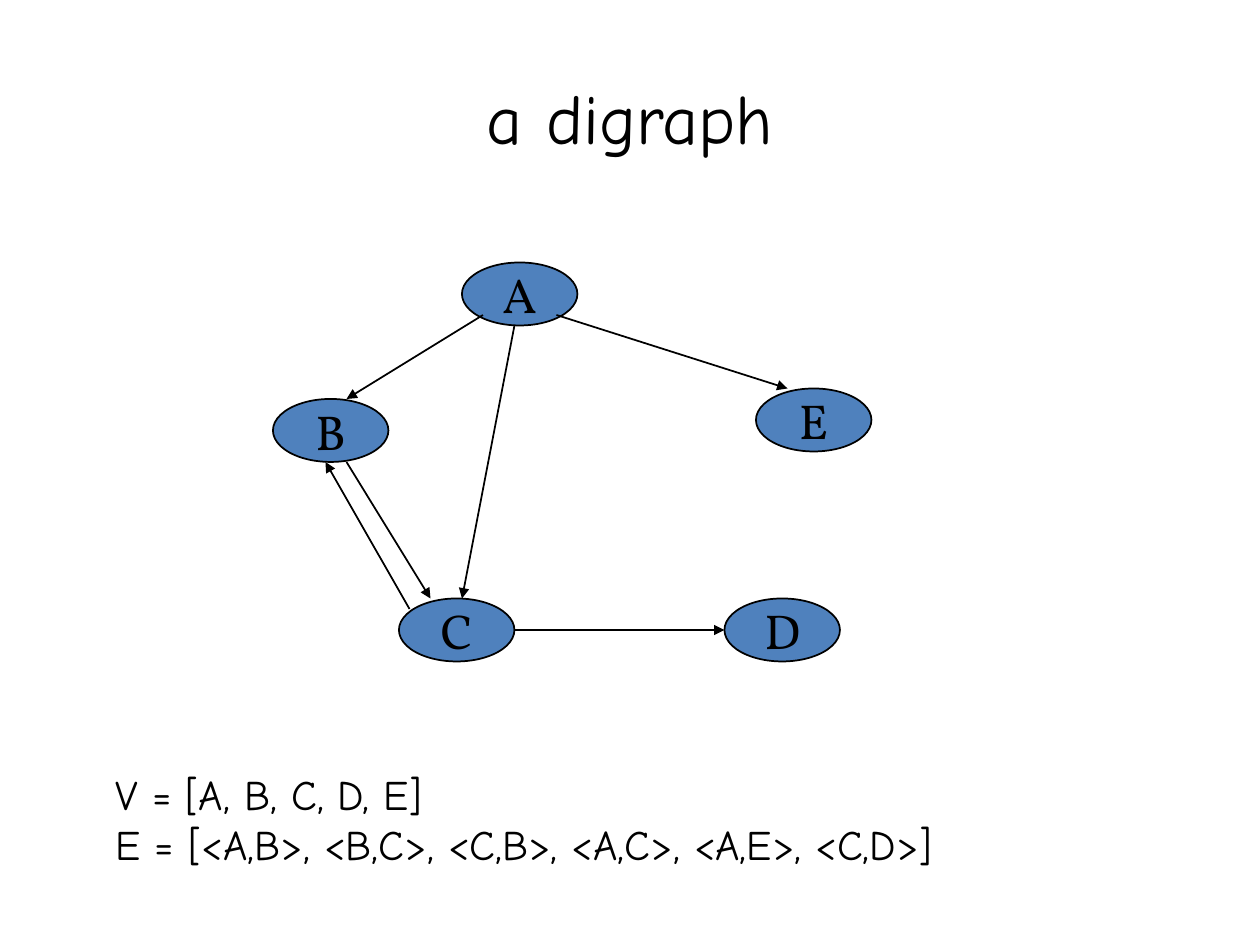
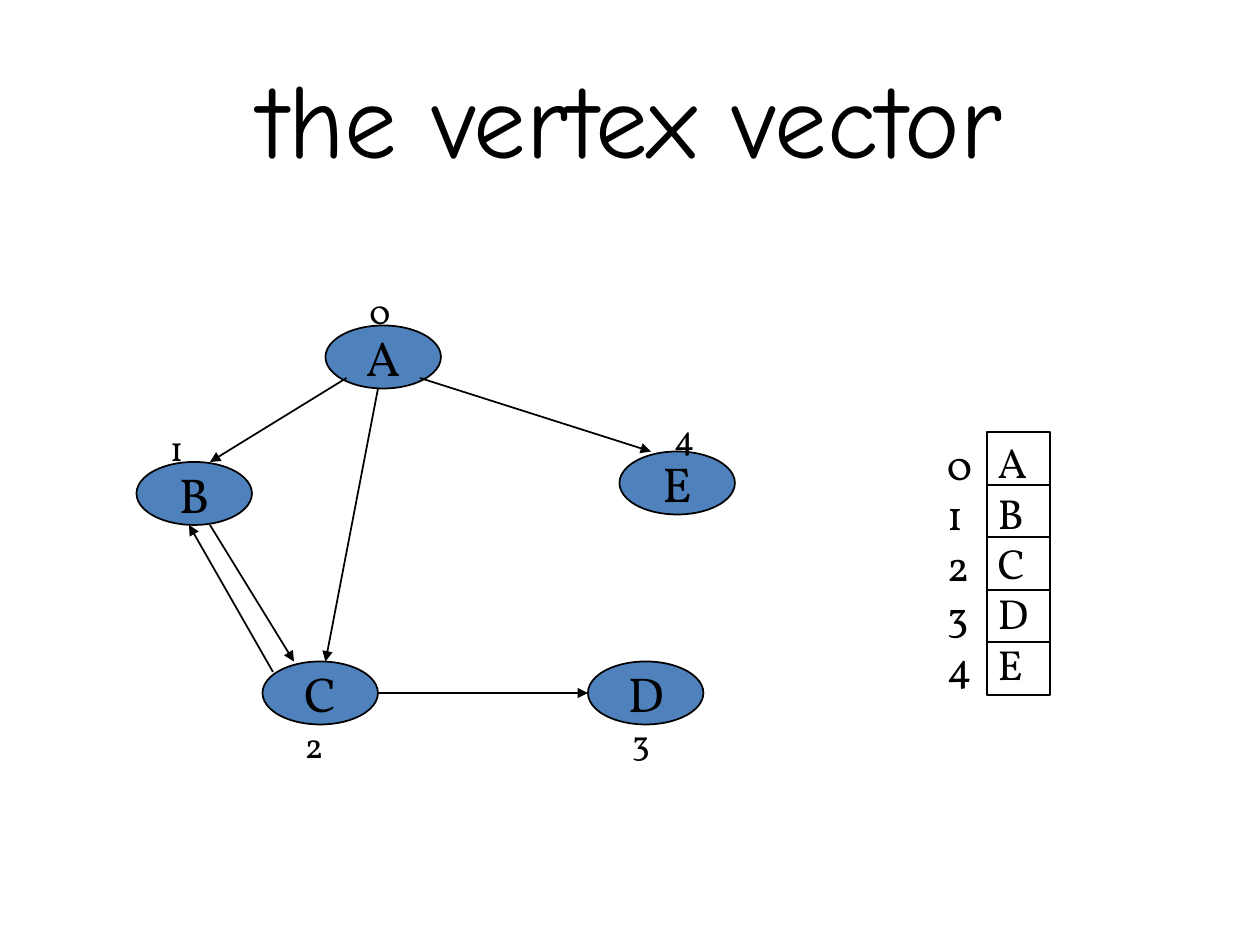
from lxml.etree import SubElement
from pptx import Presentation
from pptx.dml.color import RGBColor
from pptx.enum.shapes import MSO_CONNECTOR, MSO_SHAPE
from pptx.enum.text import MSO_ANCHOR, MSO_AUTO_SIZE, PP_ALIGN
from pptx.oxml.ns import qn
from pptx.util import Pt

BLACK = RGBColor(0x00, 0x00, 0x00)
BLUE = RGBColor(0x4F, 0x81, 0xBD)
WHITE = RGBColor(0xFF, 0xFF, 0xFF)
HAND_FONT = "Comic Neue"
SERIF_FONT = "Vollkorn"

NODE_W, NODE_H = 66, 36
# Vertices and edge ends are offsets from the top left corner of the graph.
VERTICES = {"A": (108, 0), "B": (0, 78), "C": (72, 192), "D": (258, 192), "E": (276, 72)}
EDGES = {
    ("A", "B"): ((120, 30), (42, 78)),
    ("A", "E"): ((162, 30), (294, 72)),
    ("A", "C"): ((138, 36), (108, 192)),
    ("C", "D"): ((138, 210), (258, 210)),
    ("B", "C"): ((42, 114), (90, 192)),
    ("C", "B"): ((78, 198), (30, 114)),
}
INDEX_LABELS = [(204, 162), (90, 240), (167, 409.7), (354, 408), (378, 234)]

VECTOR_X, VECTOR_Y = 564, 247
CELL_W, CELL_H = 36, 30


def style_paragraphs(tf, size, font, align=PP_ALIGN.LEFT):
    for p in tf.paragraphs:
        p.alignment = align
        p.font.size = Pt(size)
        p.font.name = font
        p.font.color.rgb = BLACK


def add_title(slide, text, size):
    sp = slide.shapes.add_textbox(Pt(36), Pt(21.6), Pt(648), Pt(90))
    tf = sp.text_frame
    tf.word_wrap = True
    tf.vertical_anchor = MSO_ANCHOR.MIDDLE
    tf.text = text
    style_paragraphs(tf, size, HAND_FONT, PP_ALIGN.CENTER)


def add_text(slide, text, x, y, w, h, size, font):
    """Add unwrapped text; a newline starts a paragraph, a vertical tab a line."""
    sp = slide.shapes.add_textbox(Pt(x), Pt(y), Pt(w), Pt(h))
    tf = sp.text_frame
    tf.word_wrap = False
    tf.auto_size = MSO_AUTO_SIZE.SHAPE_TO_FIT_TEXT
    tf.text = text
    style_paragraphs(tf, size, font)


def add_outlined_shape(slide, kind, x, y, w, h):
    sp = slide.shapes.add_shape(kind, Pt(x), Pt(y), Pt(w), Pt(h))
    sp.shadow.inherit = False
    sp.fill.background()
    sp.line.color.rgb = BLACK
    sp.line.width = Pt(1)
    return sp


def add_vertex(slide, name, x, y):
    sp = add_outlined_shape(slide, MSO_SHAPE.OVAL, x, y, NODE_W, NODE_H)
    sp.fill.solid()
    sp.fill.fore_color.rgb = BLUE
    tf = sp.text_frame
    tf.word_wrap = False
    tf.vertical_anchor = MSO_ANCHOR.MIDDLE
    tf.text = name
    style_paragraphs(tf, 28, SERIF_FONT, PP_ALIGN.CENTER)


def add_line(slide, x1, y1, x2, y2, arrow=False):
    line = slide.shapes.add_connector(
        MSO_CONNECTOR.STRAIGHT, Pt(x1), Pt(y1), Pt(x2), Pt(y2))
    line.line.color.rgb = BLACK
    line.line.width = Pt(1)
    if arrow:
        SubElement(line.line._get_or_add_ln(), qn("a:tailEnd"), type="triangle")
    SubElement(line._element.spPr, qn("a:effectLst"))


def add_graph(slide, left, top):
    for name, (x, y) in VERTICES.items():
        add_vertex(slide, name, left + x, top + y)
    for (x1, y1), (x2, y2) in EDGES.values():
        add_line(slide, left + x1, top + y1, left + x2, top + y2, arrow=True)


def add_vertex_vector(slide):
    count = len(VERTICES)
    indices = "\n".join(str(i) for i in range(count))
    add_text(slide, indices, 534, VECTOR_Y, 26.8, 151.2, 24, SERIF_FONT)
    add_text(slide, "\v".join(VERTICES), 563, 246, 33.4, 151.2, 24, SERIF_FONT)
    add_outlined_shape(slide, MSO_SHAPE.RECTANGLE,
                       VECTOR_X, VECTOR_Y, CELL_W, count * CELL_H)
    for row in range(1, count + 1):
        y = VECTOR_Y + row * CELL_H
        add_line(slide, VECTOR_X, y, VECTOR_X + CELL_W, y)


def add_slide(prs, title, title_size):
    slide = prs.slides.add_slide(prs.slide_layouts[6])
    slide.background.fill.solid()
    slide.background.fill.fore_color.rgb = WHITE
    add_title(slide, title, title_size)
    return slide


def add_digraph_slide(prs):
    slide = add_slide(prs, "a digraph", 40)
    add_graph(slide, 156, 150)
    sets = "V = [A, B, C, D, E]\nE = [<A,B>, <B,C>, <C,B>, <A,C>, <A,E>, <C,D>]"
    add_text(slide, sets, 59, 435.6, 525, 65, 24, HAND_FONT)


def add_vector_slide(prs):
    slide = add_slide(prs, "the vertex vector", 60)
    add_graph(slide, 78, 186)
    for i, (x, y) in enumerate(INDEX_LABELS):
        add_text(slide, str(i), x, y, 24.5, 31, 20, SERIF_FONT)
    add_vertex_vector(slide)


def main():
    prs = Presentation()
    prs.slide_width = Pt(720)
    prs.slide_height = Pt(540)
    add_digraph_slide(prs)
    add_vector_slide(prs)
    prs.save("out.pptx")


if __name__ == "__main__":
    main()
